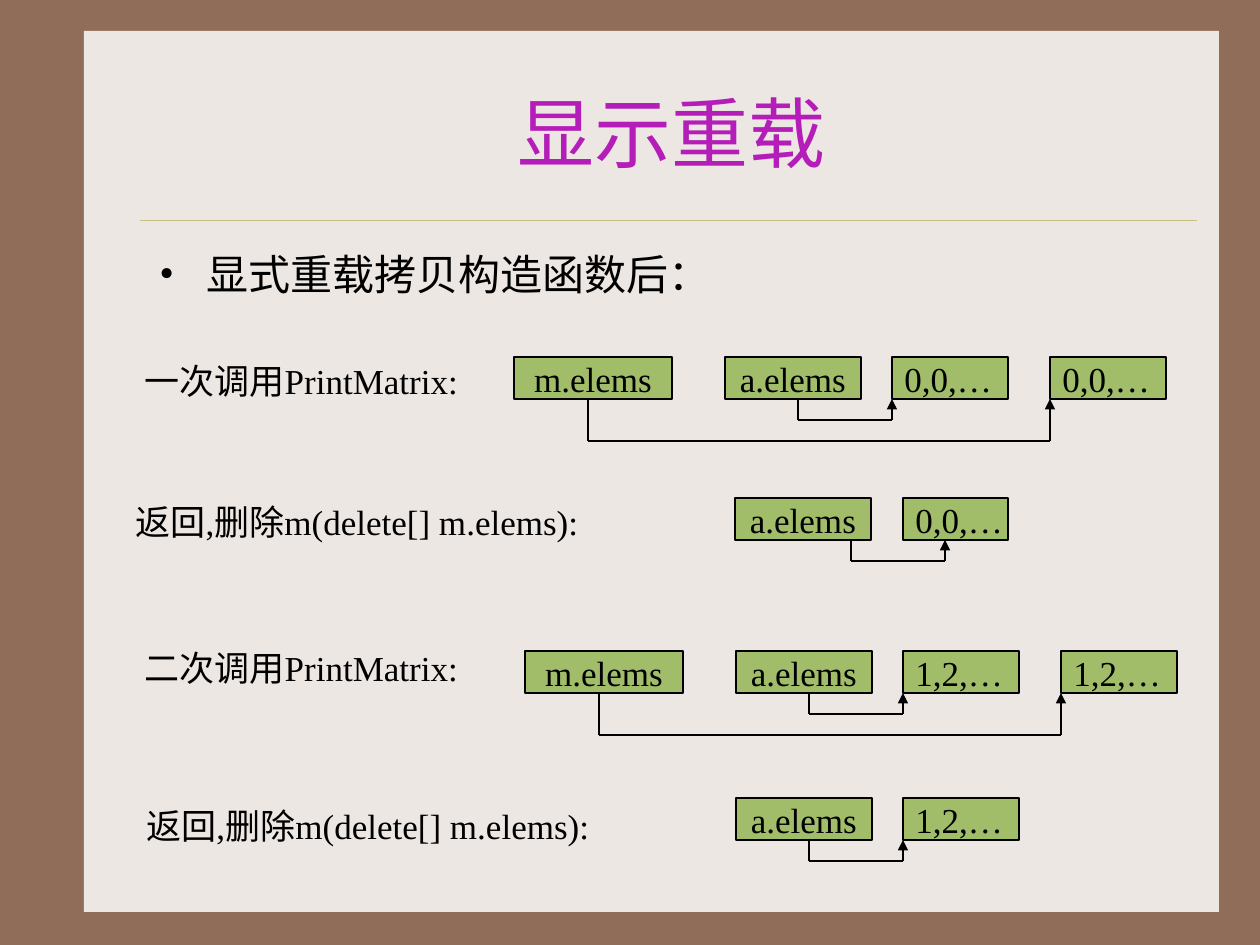
from lxml import etree
from pptx import Presentation
from pptx import util as u
from pptx.dml.color import RGBColor
from pptx.enum import shapes, text
from pptx.oxml.ns import qn

PX = u.Inches(1) / 126
FONT = "Times New Roman"
COLORS = {"back": "906D58", "page": "EDE7E3", "rule": "CBBD83",
          "title": "B51DB9", "box": "A1BD69", "ink": "000000"}
BOX_H = 42
DROP = 21
# Columns of the first row: left, width
COLS = {"m": (514, 158), "a": (725, 136), "near": (892, 116), "far": (1050, 116)}

# Label, label place, top of boxes, shift of columns, value, both matrices shown
CALLS = [
    ("一次调用PrintMatrix:", (132, 353, 347), 357, 0, "0,0,…", True),
    ("二次调用PrintMatrix:", (132, 640, 347), 651, 11, "1,2,…", True),
    ("返回,删除m(delete[] m.elems):", (134, 798, 493), 798, 11, "1,2,…", False),
]


def px(*vals):
    return [round(v * PX) for v in vals]


def color(name):
    return RGBColor.from_string(COLORS[name])


def write(para, words, size, name="ink"):
    run = para.add_run()
    run.text = words
    run.font.size = u.Pt(size)
    run.font.name = FONT
    run.font.color.rgb = color(name)


def add_rect(slide, place, fill, edge=None):
    rect = slide.shapes.add_shape(shapes.MSO_SHAPE.RECTANGLE, *px(*place))
    rect.shadow.inherit = False
    rect.fill.solid()
    rect.fill.fore_color.rgb = color(fill)
    if edge:
        rect.line.color.rgb = color(edge)
        rect.line.width = u.Pt(0.75)
    else:
        rect.line.fill.background()
    return rect


def add_box(slide, words, left, top, width, center=False):
    frame = add_rect(slide, (left, top, width, BOX_H), "box", "ink").text_frame
    frame.word_wrap = False
    frame.vertical_anchor = text.MSO_ANCHOR.MIDDLE
    para = frame.paragraphs[0]
    para.alignment = text.PP_ALIGN.CENTER if center else text.PP_ALIGN.LEFT
    write(para, words, 20)


def add_label(slide, words, left, top, width):
    box = slide.shapes.add_textbox(*px(left, top, width, 55))
    box.text_frame.word_wrap = False
    write(box.text_frame.paragraphs[0], words, 20)


def add_line(slide, start, end, name="ink", width=0.75, arrow=False):
    line = slide.shapes.add_connector(
        shapes.MSO_CONNECTOR.STRAIGHT, *px(*start, *end))
    line.line.color.rgb = color(name)
    line.line.width = u.Pt(width)
    if arrow:
        etree.SubElement(line.line._get_or_add_ln(), qn("a:tailEnd"), type="triangle")
    etree.SubElement(line._element.spPr, qn("a:effectLst"))


def add_link(slide, left, right, top, drop):
    """Draw a pointer that goes down, across and up to its target."""
    low = top + drop
    add_line(slide, (left, top), (left, low))
    add_line(slide, (left, low), (right, low))
    add_line(slide, (right, low), (right, top), arrow=True)


def add_call(slide, label, place, top, shift, value, both):
    add_label(slide, label, *place)
    col = {key: (left + shift, width) for key, (left, width) in COLS.items()}

    def pair(name, source, target, start, drop):
        left, width = col[source]
        add_box(slide, name, left, top, width, center=True)
        goal, span = col[target]
        add_box(slide, value, goal, top, span)
        add_link(slide, left + start, goal, top + BOX_H, drop)

    pair("a.elems", "a", "near", 73, DROP)
    if both:
        pair("m.elems", "m", "far", 74, 2 * DROP)


def add_return(slide):
    """Draw the first return, whose pointer ends inside its target."""
    top = 498
    add_label(slide, "返回,删除m(delete[] m.elems):", 123, 494, 493)
    add_box(slide, "a.elems", 735, top, 136, center=True)
    add_box(slide, "0,0,…", 903, top, 105)
    add_link(slide, 851, 945, top + BOX_H, DROP)


def set_title(slide, words):
    title = slide.shapes.title
    title.left, title.top, title.width, title.height = px(147, 53, 1050, 157)
    title.text_frame.vertical_anchor = text.MSO_ANCHOR.MIDDLE
    para = title.text_frame.paragraphs[0]
    para.alignment = text.PP_ALIGN.CENTER
    write(para, words, 44, "title")


def add_bullet(slide, words):
    box = slide.shapes.add_textbox(*px(147, 242, 1050, 73))
    box.text_frame.word_wrap = True
    para = box.text_frame.paragraphs[0]
    props = para._p.get_or_add_pPr()
    indent = px(47)[0]
    props.set("marL", str(indent))
    props.set("indent", str(-indent))
    tint = etree.SubElement(props, qn("a:buClr"))
    etree.SubElement(tint, qn("a:srgbClr"), val=COLORS["ink"])
    etree.SubElement(props, qn("a:buFont"), typeface=FONT)
    etree.SubElement(props, qn("a:buChar"), char="•")
    write(para, words, 24)


def main():
    deck = Presentation()
    deck.slide_width, deck.slide_height = px(1260, 945)
    slide = deck.slides.add_slide(deck.slide_layouts[5])
    slide.background.fill.solid()
    slide.background.fill.fore_color.rgb = color("back")

    page = add_rect(slide, (84, 31, 1135, 881), "page")
    slide.shapes.title._element.addprevious(page._element)
    add_line(slide, (140, 220), (1197, 220), "rule", 0.25)
    set_title(slide, "显示重载")
    add_bullet(slide, "显式重载拷贝构造函数后：")
    add_return(slide)
    for call in CALLS:
        add_call(slide, *call)
    deck.save("out.pptx")


if __name__ == "__main__":
    main()
